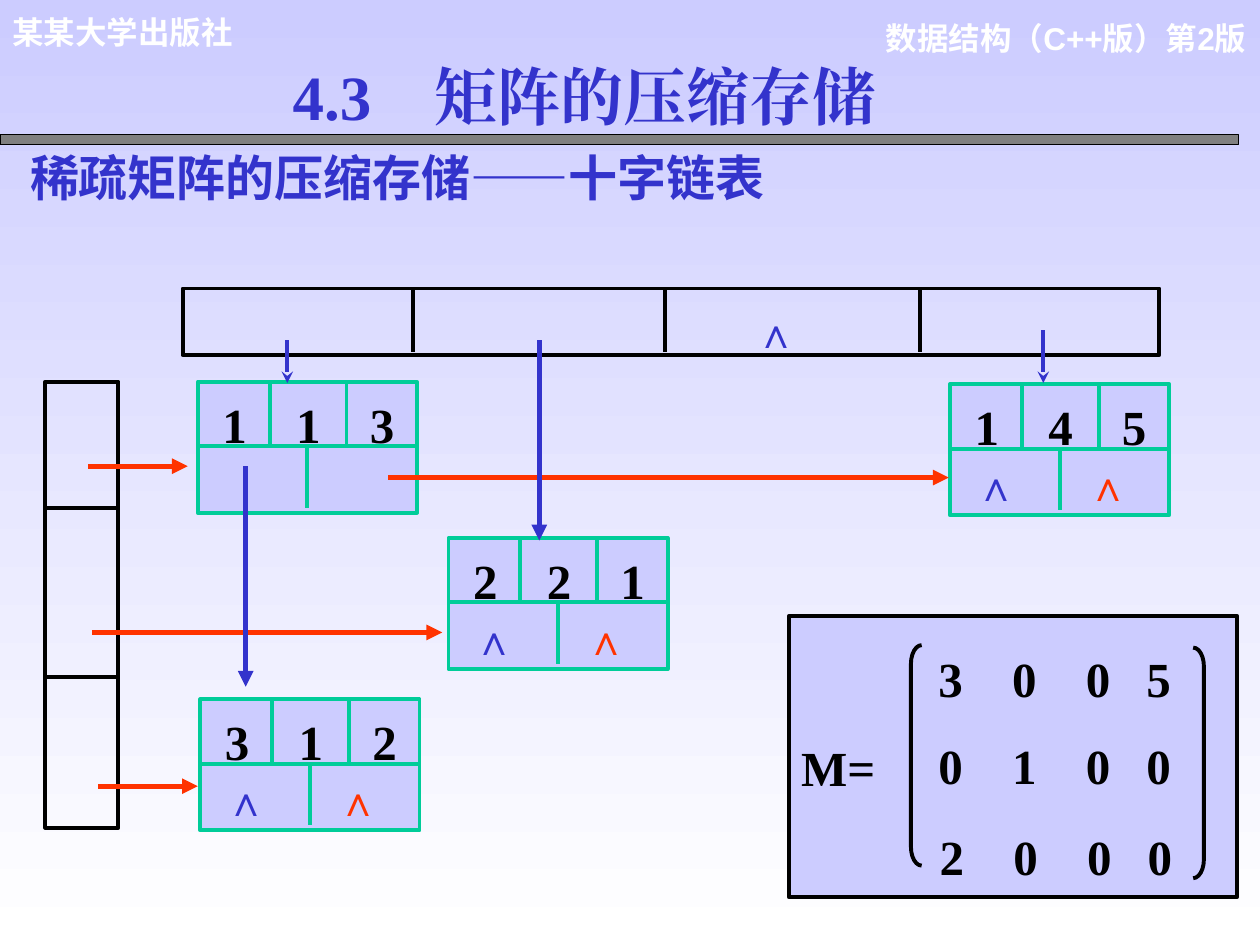
from dataclasses import dataclass
from lxml import etree
from pptx import Presentation
from pptx import util as u
from pptx.dml import color
from pptx.enum import shapes, text
from pptx.oxml import ns

COLS, ROWS = 100, 75
SERIF, SANS, HAN = "Times New Roman", "Arial", "Noto Sans CJK SC"
BLACK, WHITE, GRAY = "000000", "FFFFFF", "808080"
BLUE, RED, GREEN, PALE = "3333CC", "FF3300", "00CC99", "CCCCFF"
LEFT, MID, RIGHT = text.PP_ALIGN.LEFT, text.PP_ALIGN.CENTER, text.PP_ALIGN.RIGHT
STEP = 5.85
NIL = "∧"

deck = Presentation()
deck.slide_width, deck.slide_height = u.Inches(10), u.Inches(7.5)
slide = deck.slides.add_slide(deck.slide_layouts[5])


@dataclass
class Node:
    x: float
    y: float
    vals: str
    down: bool = True
    right: bool = True


@dataclass
class Arrow:
    x: float
    y: float
    to_x: float
    to_y: float
    tint: str
    head: str = "triangle"
    wide: float = 3


NODES = [Node(15.7, 30.3, "113", False, False), Node(75.4, 30.5, "145"),
         Node(35.6, 42.7, "221"), Node(15.9, 55.5, "312")]
ARROWS = [Arrow(7, 37, 14.9, 37, RED), Arrow(30.8, 37.9, 75.3, 37.9, RED),
          Arrow(7.3, 50.2, 35.1, 50.2, RED), Arrow(7.8, 62.4, 15.7, 62.4, RED),
          Arrow(42.8, 27, 42.8, 42.9, BLUE), Arrow(19.5, 37, 19.5, 54.5, BLUE),
          Arrow(22.8, 27, 22.8, 30.4, BLUE, "stealth", 2.25),
          Arrow(82.8, 26.2, 82.8, 30.4, BLUE, "stealth", 2.25)]
MATRIX = [("3005", 73.5, 50.5), ("0100", 73.5, 57.4), ("2000", 73.6, 64.6)]


def rgb(tint: str) -> color.RGBColor:
    return color.RGBColor.from_string(tint)


def col(n: float) -> int:
    return round(deck.slide_width * n / COLS)


def row(n: float) -> int:
    return round(deck.slide_height * n / ROWS)


def area(x: float, y: float, w: float, h: float) -> tuple:
    return col(x), row(y), col(w), row(h)


def write(shape, words: str, size: float, tint: str, font: str = SERIF,
          align=LEFT, side: float = 1, top: float = 1, tabs: tuple = ()) -> None:
    frame = shape.text_frame
    frame.word_wrap = True
    frame.vertical_anchor = text.MSO_ANCHOR.TOP
    frame.margin_left, frame.margin_right = col(side), col(min(side, 1))
    frame.margin_top, frame.margin_bottom = row(top), 0
    para = frame.paragraphs[0]
    para.alignment = align
    run = para.add_run()
    run.text = words
    run.font.size, run.font.bold, run.font.name = u.Pt(size), True, font
    run.font.color.rgb = rgb(tint)
    east = etree.SubElement(run.font._element, ns.qn("a:ea"))
    east.set("typeface", font)
    if tabs:
        stops = etree.SubElement(para._p.get_or_add_pPr(), ns.qn("a:tabLst"))
        for stop in tabs:
            etree.SubElement(stops, ns.qn("a:tab"), pos=str(col(stop)), algn="l")


def label(x: float, y: float, w: float, h: float, words: str, size: float,
          tint: str, **style) -> None:
    write(slide.shapes.add_textbox(*area(x, y, w, h)), words, size, tint, **style)


def block(x: float, y: float, w: float, h: float, fill: str = "",
          tint: str = BLACK, wide: float = 2.25,
          kind=shapes.MSO_SHAPE.RECTANGLE):
    shape = slide.shapes.add_shape(kind, *area(x, y, w, h))
    shape.shadow.inherit = False
    if fill:
        shape.fill.solid()
        shape.fill.fore_color.rgb = rgb(fill)
    else:
        shape.fill.background()
    shape.line.color.rgb, shape.line.width = rgb(tint), u.Pt(wide)
    return shape


def rule(x: float, y: float, to_x: float, to_y: float, tint: str = BLACK,
         wide: float = 2.25, head: str = "") -> None:
    line = slide.shapes.add_connector(shapes.MSO_CONNECTOR.STRAIGHT,
                                      col(x), row(y), col(to_x), row(to_y))
    line.line.color.rgb, line.line.width = rgb(tint), u.Pt(wide)
    if head:
        etree.SubElement(line.line._get_or_add_ln(), ns.qn("a:tailEnd"), type=head)
    etree.SubElement(line._element.spPr, ns.qn("a:effectLst"))


def draw(node: Node) -> None:
    x, y = node.x, node.y
    box = block(x, y, 17.4, 10.4, PALE, GREEN)
    write(box, "\t".join(node.vals), 28, BLACK, side=1.95, tabs=(STEP, 2 * STEP))
    rule(x, y + 5.1, x + 17.4, y + 5.1, GREEN)
    for gap, top, end in ((5.7, 0, 5.2), (11.8, 0, 5.2), (8.7, 5.1, 10)):
        rule(x + gap, y + top, x + gap, y + end, GREEN)
    for shown, gap, tint in ((node.down, 2, BLUE), (node.right, 10.9, RED)):
        if shown:
            label(x + gap, y + 5.5, 4.1, 4, NIL, 24, tint, side=0, top=0.5)


def bracket(kind, x: float, y: float, h: float) -> None:
    block(x, y, 0.85, h, kind=kind).adjustments[0] = 1.75


def main() -> None:
    back = slide.background.fill
    back.gradient()
    back.gradient_angle = 270
    for stop, tint in zip(back.gradient_stops, (PALE, WHITE)):
        stop.color.rgb = rgb(tint)

    title = slide.shapes.title
    title.left, title.top, title.width, title.height = area(20.8, 3.6, 51.1, 7)
    write(title, "4.3\u3000矩阵的压缩存储".replace("\u3000", "　"), 36, BLUE, align=MID)
    label(69.2, 0.5, 30.7, 7, "数据结构（C++版）第2版", 18, WHITE,
          font=SANS, align=RIGHT)
    label(0, 0, 27.1, 4, "某某大学出版社", 18, WHITE, font=SANS)
    block(0, 10.7, 98.3, 0.8, GRAY, wide=0.75)
    label(1.4, 11.7, 72.2, 5.7, "稀疏矩阵的压缩存储——十字链表", 28, BLUE,
          font=HAN, top=0)

    block(14.5, 22.9, 77.5, 5.3)
    for x in (32.8, 52.8, 73):
        rule(x, 22.9, x, 27.9)
    label(59, 23.3, 6, 5, NIL, 24, BLUE)
    block(3.6, 30.3, 5.8, 35.4)
    for y in (40.3, 53.7):
        rule(3.6, y, 9.4, y)

    for node in NODES:
        draw(node)
    for a in ARROWS:
        rule(a.x, a.y, a.to_x, a.to_y, a.tint, a.wide, a.head)

    block(62.6, 48.9, 35.6, 22.3, PALE)
    label(62.6, 57.5, 9, 5.7, "M=", 28, BLACK)
    for vals, x, y in MATRIX:
        label(x, y, 24, 5.7, "\t".join(vals), 28, BLACK,
              tabs=(STEP, 2 * STEP, 16.5))
    bracket(shapes.MSO_SHAPE.LEFT_BRACKET, 72.3, 51.2, 17.5)
    bracket(shapes.MSO_SHAPE.RIGHT_BRACKET, 94.7, 51.4, 18.3)
    deck.save("out.pptx")


if __name__ == "__main__":
    main()
